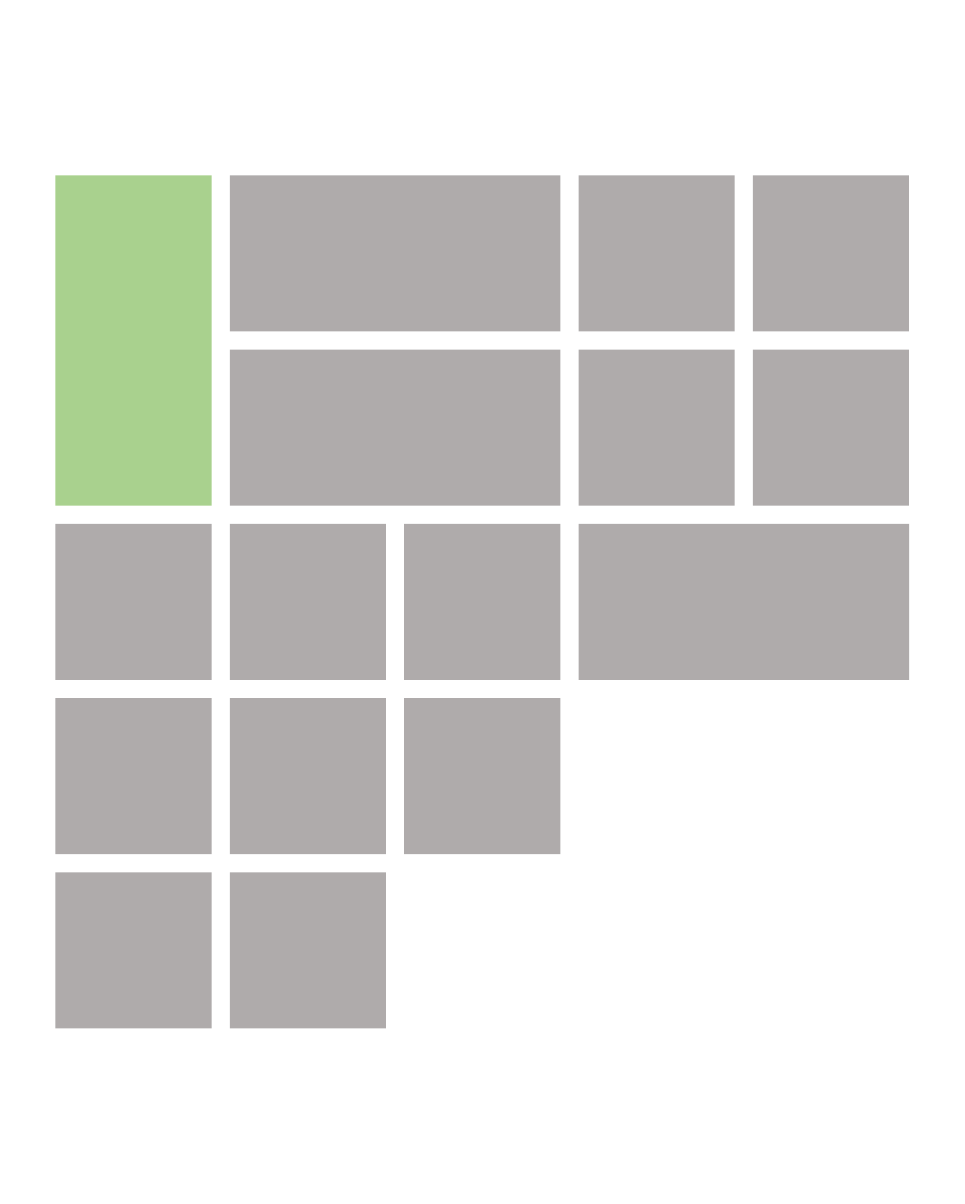
"""Build a five-column grid of tiles with one tall highlighted tile."""
from dataclasses import dataclass

from pptx import Presentation
from pptx.dml.color import RGBColor
from pptx.enum.shapes import MSO_SHAPE
from pptx.slide import Slide
from pptx.util import Pt

RECTANGLE = MSO_SHAPE.RECTANGLE
BLANK_LAYOUT = 6
SLIDE_WIDTH, SLIDE_HEIGHT = Pt(400.32), Pt(499.68)
GRID_LEFT, GRID_TOP = 23.04, 72.8
CELL, GAP = 64.8, 7.52


@dataclass(frozen=True)
class Theme:
    tile: RGBColor = RGBColor(0xAF, 0xAB, 0xAB)
    highlight: RGBColor = RGBColor(0xA9, 0xD1, 0x8E)
    background: RGBColor = RGBColor(0xFF, 0xFF, 0xFF)


THEME = Theme()


@dataclass(frozen=True)
class Tile:
    column: int
    row: int
    columns: int = 1
    rows: int = 1
    color: RGBColor = THEME.tile


TILES = [
    Tile(1, 0, columns=2), Tile(3, 0), Tile(4, 0),
    Tile(0, 0, rows=2, color=THEME.highlight),
    Tile(1, 1, columns=2), Tile(3, 1), Tile(4, 1),
    Tile(0, 2), Tile(1, 2), Tile(2, 2), Tile(3, 2, columns=2),
    Tile(0, 3), Tile(1, 3), Tile(2, 3),
    Tile(0, 4), Tile(1, 4),
]


def offset(cells: int) -> float:
    return cells * (CELL + GAP)


def draw_tile(slide: Slide, tile: Tile) -> None:
    shape = slide.shapes.add_shape(
        RECTANGLE,
        Pt(GRID_LEFT + offset(tile.column)),
        Pt(GRID_TOP + offset(tile.row)),
        Pt(offset(tile.columns) - GAP),
        Pt(offset(tile.rows) - GAP),
    )
    shape.shadow.inherit = False
    shape.fill.solid()
    shape.fill.fore_color.rgb = tile.color
    shape.line.fill.background()


def main() -> None:
    presentation = Presentation()
    presentation.slide_width = SLIDE_WIDTH
    presentation.slide_height = SLIDE_HEIGHT
    slide = presentation.slides.add_slide(presentation.slide_layouts[BLANK_LAYOUT])
    slide.background.fill.solid()
    slide.background.fill.fore_color.rgb = THEME.background
    for tile in TILES:
        draw_tile(slide, tile)
    presentation.save("out.pptx")


if __name__ == "__main__":
    main()
